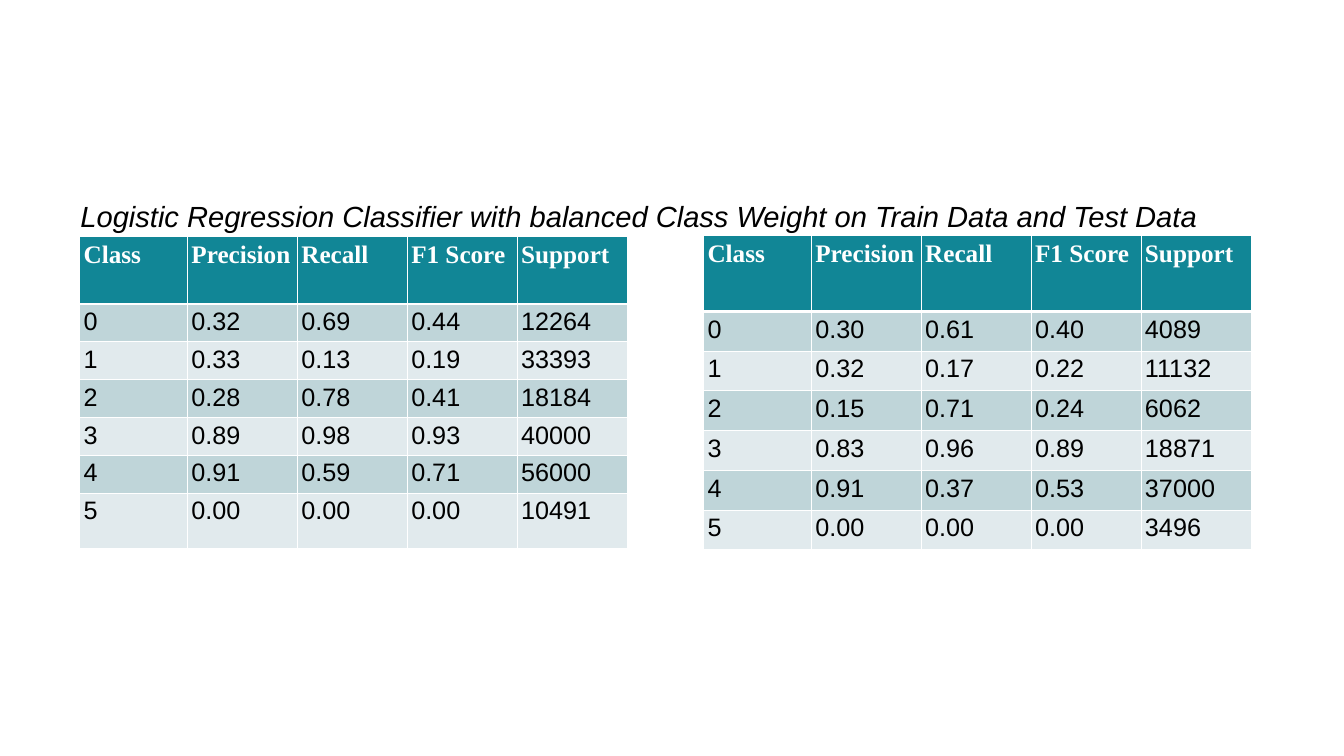
import pptx
import pptx.util
import pptx.dml.color
import pptx.oxml
import pptx.oxml.ns

Pt = pptx.util.Pt
RGB = pptx.dml.color.RGBColor

TEAL = RGB(0x11, 0x86, 0x96)
MIST = RGB(0xBF, 0xD5, 0xD9)
PALE = RGB(0xE1, 0xEA, 0xED)
WHITE = RGB(0xFF, 0xFF, 0xFF)
BLACK = RGB(0, 0, 0)

TITLE = ("Logistic Regression Classifier with balanced Class Weight "
         "on Train Data and Test Data")
HEAD = ["Class", "Precision", "Recall", "F1 Score", "Support"]
TRAIN = [
    ["0", "0.32", "0.69", "0.44", "12264"],
    ["1", "0.33", "0.13", "0.19", "33393"],
    ["2", "0.28", "0.78", "0.41", "18184"],
    ["3", "0.89", "0.98", "0.93", "40000"],
    ["4", "0.91", "0.59", "0.71", "56000"],
    ["5", "0.00", "0.00", "0.00", "10491"],
]
TEST = [
    ["0", "0.30", "0.61", "0.40", "4089"],
    ["1", "0.32", "0.17", "0.22", "11132"],
    ["2", "0.15", "0.71", "0.24", "6062"],
    ["3", "0.83", "0.96", "0.89", "18871"],
    ["4", "0.91", "0.37", "0.53", "37000"],
    ["5", "0.00", "0.00", "0.00", "3496"],
]
WIDTHS = [77] + [78.5] * 4


def add_edge(cell, side, width):
    props = cell._tc.get_or_add_tcPr()
    props.append(pptx.oxml.parse_xml(
        f'<a:ln{side} {pptx.oxml.ns.nsdecls("a")} w="{Pt(width)}">'
        f'<a:solidFill><a:srgbClr val="{WHITE}"/></a:solidFill></a:ln{side}>'))


def style_cell(cell, text, row):
    # Borders, with a heavy rule under the header
    top = 2.25 if row == 1 else 0.75
    base = 2.25 if row == 0 else 0.75
    for side, width in (("L", 0.75), ("R", 0.75), ("T", top), ("B", base)):
        add_edge(cell, side, width)

    # Banded fill
    cell.fill.solid()
    cell.fill.fore_color.rgb = TEAL if row == 0 else MIST if row % 2 else PALE

    # Text
    cell.margin_left = cell.margin_right = Pt(2.8)
    cell.margin_top = cell.margin_bottom = Pt(2.8)
    cell.text = text
    font = cell.text_frame.paragraphs[0].font
    font.size = Pt(18)
    font.bold = row == 0
    font.name = "Times New Roman" if row == 0 else "Arial"
    font.color.rgb = WHITE if row == 0 else BLACK


def add_scores(slide, left, top, heights, scores):
    rows = [HEAD] + scores
    frame = slide.shapes.add_table(
        len(rows), len(HEAD), Pt(left), Pt(top),
        Pt(sum(WIDTHS)), Pt(sum(heights)))
    table = frame.table
    for col, width in zip(table.columns, WIDTHS):
        col.width = Pt(width)
    for line, height in zip(table.rows, heights):
        line.height = Pt(height)
    for r, texts in enumerate(rows):
        for c, text in enumerate(texts):
            style_cell(table.cell(r, c), text, r)


def add_title(slide, left, top, width, height):
    box = slide.shapes.add_textbox(Pt(left), Pt(top), Pt(width), Pt(height))
    box.text_frame.word_wrap = True
    para = box.text_frame.paragraphs[0]
    para.text = TITLE
    para.space_after = Pt(6)
    para.font.size = Pt(20.8)
    para.font.name = "Arial"
    para.font.italic = True
    para.font.color.rgb = BLACK


def main():
    deck = pptx.Presentation()
    deck.slide_width, deck.slide_height = Pt(960), Pt(540)
    slide = deck.slides.add_slide(deck.slide_layouts[6])

    # Train scores on the left, test scores on the right
    add_scores(slide, 57, 169.2, [48] + [27] * 5 + [39.4], TRAIN)
    add_scores(slide, 502.6, 168.5, [54] + [28.4] * 6, TEST)
    add_title(slide, 50.4, 138.2, 826.6, 33.1)

    deck.save("out.pptx")


if __name__ == "__main__":
    main()
